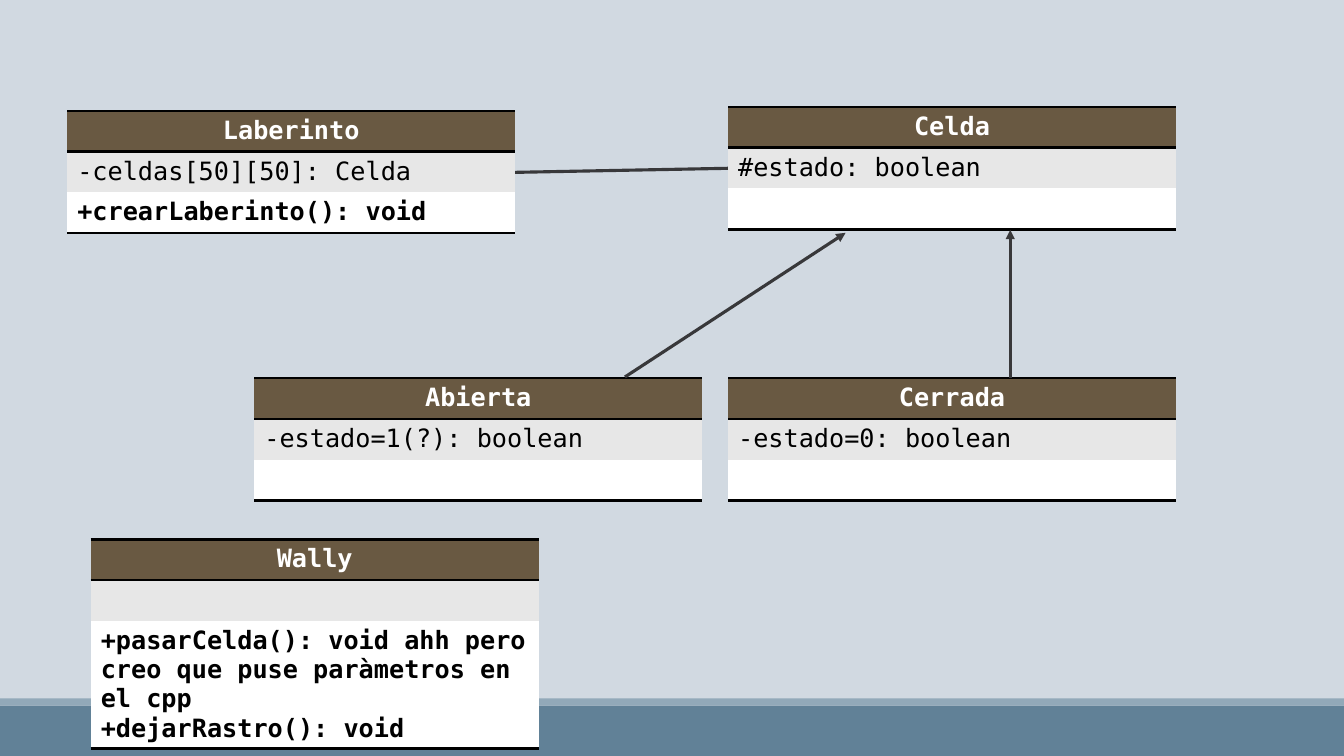
import pptx
import pptx.util
import pptx.dml.color
import pptx.enum.shapes
import pptx.enum.text
import pptx.oxml
import pptx.oxml.ns

COLORS = {
    "background": "D1D9E1",
    "footer": "618197",
    "stripe": "92A9B9",
    "header": "695942",
    "attributes": "E7E7E7",
    "methods": "FFFFFF",
    "header_text": "FFFFFF",
    "text": "000000",
    "border": "000000",
    "connector": "38383A",
}
FONT = "DejaVu Sans Mono"
COLUMNS = 12
ROWS = 15
CLASS_WIDTH = 4
ROW_HEIGHT = 0.81


class ClassDiagram:
    def __init__(self, presentation):
        self.column = presentation.slide_width / COLUMNS
        self.row = presentation.slide_height / ROWS
        self.slide = presentation.slides.add_slide(presentation.slide_layouts[6])
        self.paint(self.slide.background.fill, "background")

    def color(self, name):
        return pptx.dml.color.RGBColor.from_string(COLORS[name])

    def paint(self, fill, name):
        fill.solid()
        fill.fore_color.rgb = self.color(name)

    def place(self, column, row):
        return round(column * self.column), round(row * self.row)

    def band(self, top, height, name):
        shape = self.slide.shapes.add_shape(
            pptx.enum.shapes.MSO_SHAPE.RECTANGLE,
            *self.place(0, top), *self.place(COLUMNS, height))
        shape.shadow.inherit = False
        shape.line.fill.background()
        self.paint(shape.fill, name)

    def border(self, cell, sides):
        properties = cell._tc.get_or_add_tcPr()
        for index, side in enumerate("LRTB"):
            if side in sides:
                fill = f'<a:solidFill><a:srgbClr val="{COLORS["border"]}"/></a:solidFill>'
            else:
                fill = "<a:noFill/>"
            line = pptx.oxml.parse_xml(
                f'<a:ln{side} {pptx.oxml.ns.nsdecls("a")} w="{pptx.util.Pt(2)}">'
                f"{fill}</a:ln{side}>")
            properties.insert(index, line)

    def cell(self, cell, text, fill, sides, bold):
        cell.text_frame.text = text
        self.paint(cell.fill, fill)
        self.border(cell, sides)
        header = fill == "header"
        for paragraph in cell.text_frame.paragraphs:
            if header:
                paragraph.alignment = pptx.enum.text.PP_ALIGN.CENTER
            for run in paragraph.runs:
                run.font.name = FONT
                run.font.size = pptx.util.Pt(18)
                run.font.bold = bold
                run.font.color.rgb = self.color("header_text" if header else "text")

    def class_box(self, column, row, name, attributes="", methods="", methods_height=ROW_HEIGHT):
        heights = (ROW_HEIGHT, ROW_HEIGHT, methods_height)
        frame = self.slide.shapes.add_table(
            3, 1, *self.place(column, row), *self.place(CLASS_WIDTH, sum(heights)))
        table = frame.table
        table.horz_banding = False
        for table_row, height in zip(table.rows, heights):
            table_row.height = round(height * self.row)
        self.cell(table.cell(0, 0), name, "header", "TB", True)
        self.cell(table.cell(1, 0), attributes, "attributes", "T", False)
        self.cell(table.cell(2, 0), methods, "methods", "B", True)

    def connect(self, start, end, arrow=False):
        connector = self.slide.shapes.add_connector(
            pptx.enum.shapes.MSO_CONNECTOR.STRAIGHT,
            *self.place(*start), *self.place(*end))
        connector.line.width = pptx.util.Pt(2.25)
        connector.line.color.rgb = self.color("connector")
        namespace = pptx.oxml.ns.nsdecls("a")
        if arrow:
            connector.line._get_or_add_ln().append(
                pptx.oxml.parse_xml(f'<a:tailEnd {namespace} type="triangle"/>'))
        connector._element.spPr.append(pptx.oxml.parse_xml(f"<a:effectLst {namespace}/>"))


def main():
    presentation = pptx.Presentation()
    presentation.slide_width = pptx.util.Inches(13.33)
    presentation.slide_height = pptx.util.Inches(7.5)

    diagram = ClassDiagram(presentation)
    diagram.band(14, 1, "footer")
    diagram.band(13.86, 0.14, "stripe")

    diagram.class_box(0.6, 2.2, "Laberinto", "-celdas[50][50]: Celda", "+crearLaberinto(): void")
    diagram.class_box(6.5, 2.12, "Celda", "#estado: boolean")
    diagram.class_box(2.27, 7.5, "Abierta", "-estado=1(?): boolean")
    diagram.class_box(6.5, 7.5, "Cerrada", "-estado=0: boolean")

    diagram.connect((5.58, 7.48), (7.55, 4.62), arrow=True)
    diagram.connect((4.6, 3.42), (6.5, 3.34))
    diagram.connect((9.02, 7.5), (9.02, 4.56), arrow=True)

    diagram.class_box(
        0.81, 10.7, "Wally",
        methods="+pasarCelda(): void ahh pero creo que puse paràmetros en el cpp\n"
                "+dejarRastro(): void",
        methods_height=2.53)

    presentation.save("out.pptx")


if __name__ == "__main__":
    main()
